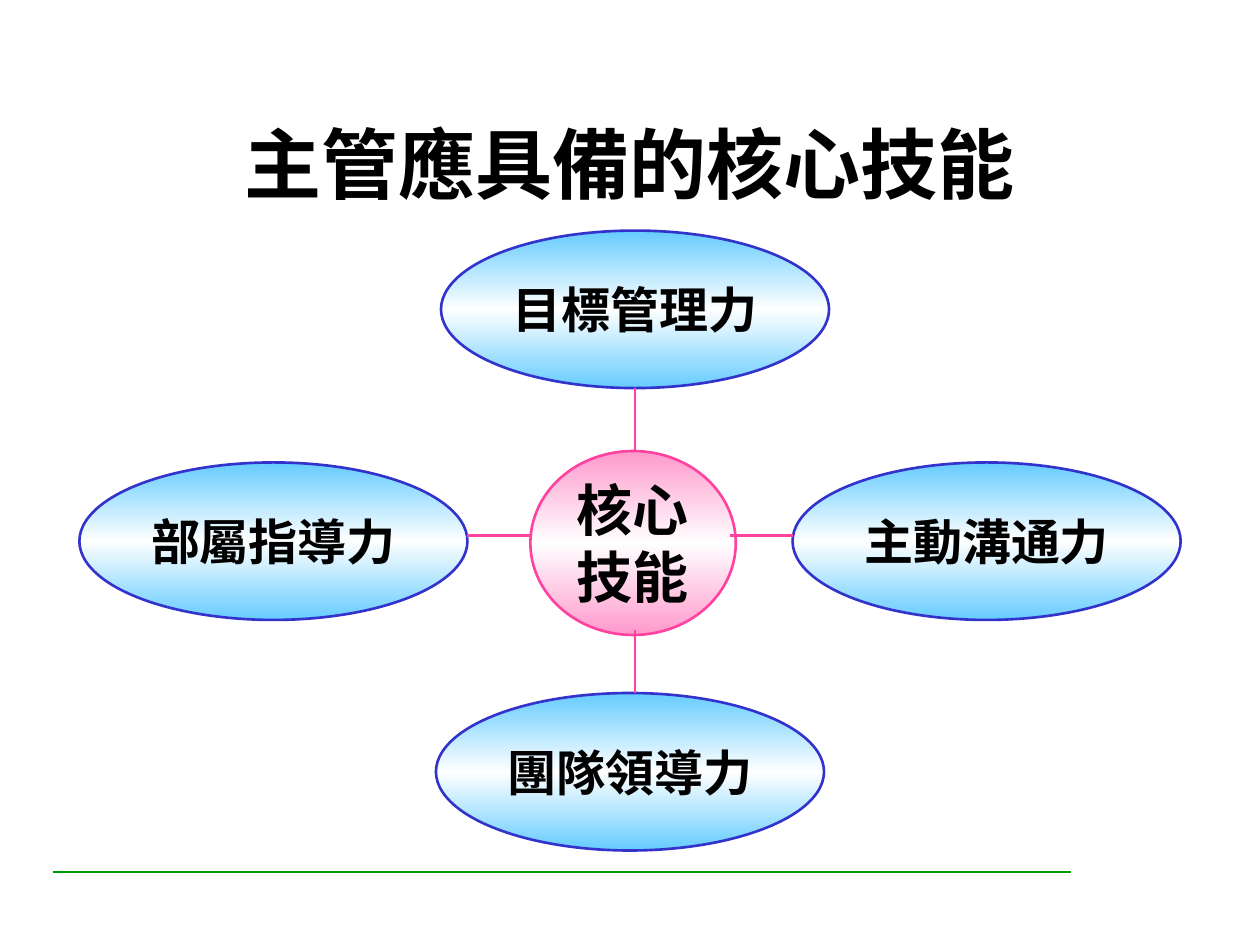
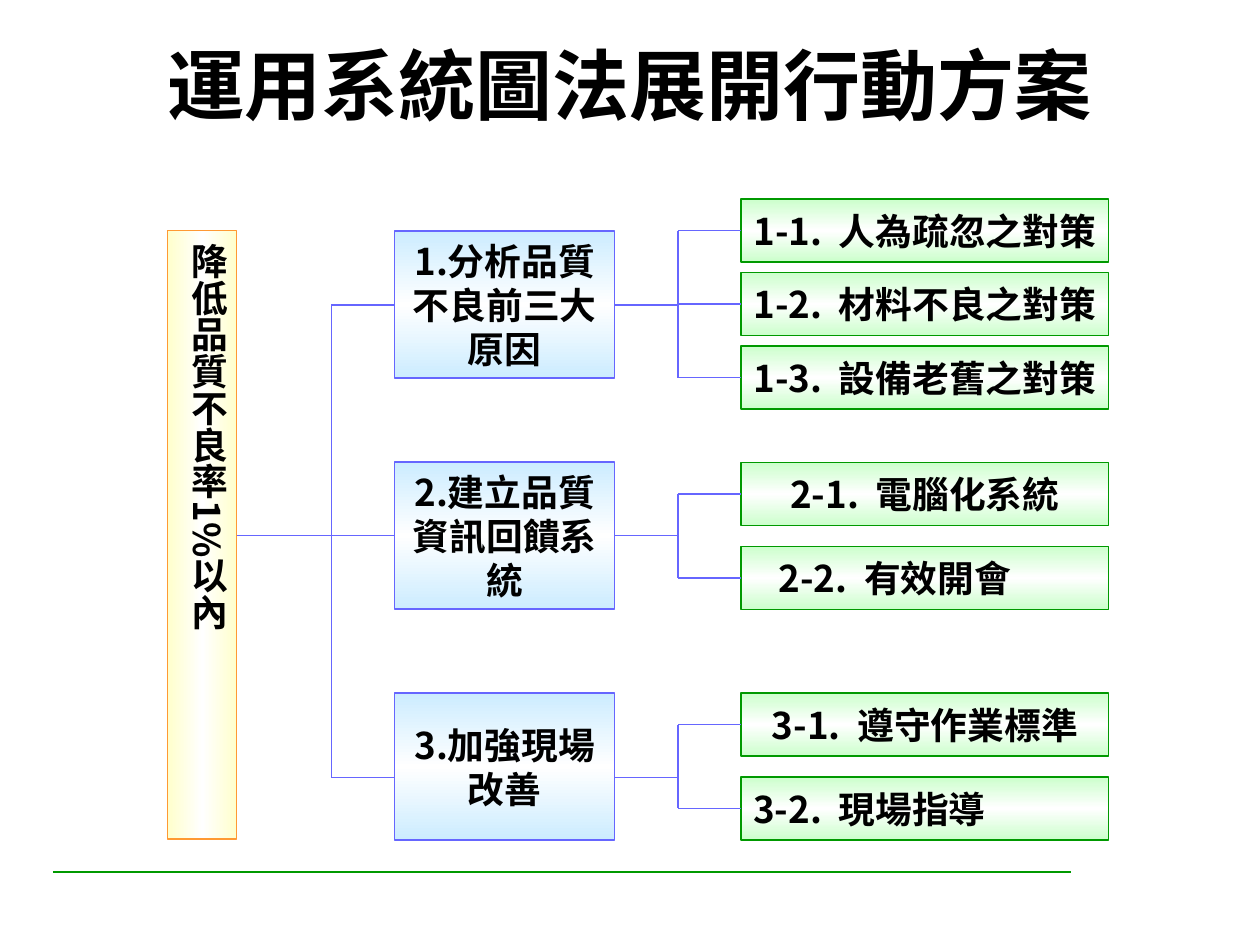
from copy import deepcopy

from lxml.etree import SubElement
from pptx import Presentation
from pptx.dml.color import RGBColor
from pptx.enum.shapes import MSO_CONNECTOR, MSO_SHAPE
from pptx.enum.text import MSO_ANCHOR, PP_ALIGN
from pptx.oxml.ns import qn
from pptx.util import Inches, Pt

# Content
SKILLS = {
    "title": "主管應具備的核心技能",
    "hub": "核心\n技能",
    # text, left, top, direction from the hub
    "petals": [
        ("主動溝通力", 6.29, 3.67, (1, 0)),
        ("部屬指導力", 0.63, 3.67, (-1, 0)),
        ("團隊領導力", 3.46, 5.5, (0, 1)),
        ("目標管理力", 3.5, 1.83, (0, -1)),
    ],
}
PLAN = {
    "title": "運用系統圖法展開行動方案",
    "goal": "降低品質不良率1%以內",
    # text, height of its link, top and pitch of its actions, actions
    "branches": [
        ("1.分析品質不良前三大原因", 2.42, 1.58, 7 / 12,
         [("1-1.", "人為疏忽之對策"), ("1-2.", "材料不良之對策"),
          ("1-3.", "設備老舊之對策")]),
        ("2.建立品質資訊回饋系統", 4.25, 3.67, 2 / 3,
         [("2-1.", "電腦化系統"), ("2-2.", "有效開會")]),
        ("3.加強現場改善", 6.17, 5.5, 2 / 3,
         [("3-1.", "遵守作業標準"), ("3-2.", "現場指導")]),
    ],
}
INDENTS = {"2-2.": 0.3, "3-2.": 0.1}  # left-aligned actions

# Shared style
SANS, SERIF = "Noto Sans CJK SC", "Times New Roman"
HEX = {
    "text": "000000", "mid": "FFFFFF", "rule": "009900",
    "hub": "FF99CC", "link": "FF41A0",
    "petal": "66CCFF", "rim": "3333CC",
    "goal": "FFFFCC", "edge": "FF9933",
    "branch": "CCECFF", "tree": "6666FF", "leaf": "CCFFCC",
}


def color(name):
    return RGBColor.from_string(HEX[name])


def style(frame, size, face=SANS, align=PP_ALIGN.CENTER):
    for para in frame.paragraphs:
        para.alignment = align
        for run in para.runs:
            font = run.font
            font.size, font.bold, font.name = Pt(size), True, face
            font.color.rgb = color("text")
            east = SubElement(run._r.get_or_add_rPr(), qn("a:ea"))
            east.set("typeface", SANS)


def add_line(slide, x1, y1, x2, y2, tint, width):
    line = slide.shapes.add_connector(
        MSO_CONNECTOR.STRAIGHT, *map(Inches, (x1, y1, x2, y2)))
    line.line.color.rgb = color(tint)
    line.line.width = Pt(width)
    SubElement(line._element.spPr, qn("a:effectLst"))
    return line


def add_box(slide, kind, box, tint, rim, width, angle=90):
    """Add a shape whose fill fades to white in the middle."""
    shape = slide.shapes.add_shape(kind, *map(Inches, box))
    shape.shadow.inherit = False
    fill = shape.fill
    fill.gradient()
    fill.gradient_angle = angle
    stops = shape._element.spPr.find(".//" + qn("a:gsLst"))
    stops.insert(1, deepcopy(stops[0]))
    for stop, name, pos in zip(fill.gradient_stops, (tint, "mid", tint),
                               (0, 0.5, 1)):
        stop.color.rgb = color(name)
        stop.position = pos
    shape.line.color.rgb = color(rim)
    shape.line.width = Pt(width)
    shape.text_frame.vertical_anchor = MSO_ANCHOR.MIDDLE
    return shape


def add_slide(deck, text, box):
    slide = deck.slides.add_slide(deck.slide_layouts[5])
    title = slide.shapes.title
    title.left, title.top, title.width, title.height = map(Inches, box)
    frame = title.text_frame
    frame.text = text
    frame.vertical_anchor = MSO_ANCHOR.MIDDLE
    style(frame, 44)
    return slide


def draw_skills(deck):
    slide = add_slide(deck, SKILLS["title"], (0.81, 0.73, 8.38, 1.13))

    # Hub
    ovals = [(SKILLS["hub"], (4.21, 3.58, 1.63, 1.46), "hub", "link", 32)]
    # Petals around it
    ovals += [(text, (left, top, 3.08, 1.25), "petal", "rim", 28)
              for text, left, top, _ in SKILLS["petals"]]
    for text, box, tint, rim, size in ovals:
        frame = add_box(slide, MSO_SHAPE.OVAL, box, tint, rim, 1.5).text_frame
        frame.text = text
        frame.word_wrap = False
        style(frame, size, SERIF)

    # Half-inch links
    for _, _, _, (dx, dy) in SKILLS["petals"]:
        x = 5 + dx * 0.79 if dx else 5.04
        y = 4.29 + dy * 0.71 if dy else 4.25
        add_line(slide, x, y, x + dx / 2, y + dy / 2, "link", 1.5)
    return slide


def add_leaf(slide, top, num, name):
    shape = add_box(slide, MSO_SHAPE.RECTANGLE, (5.88, top, 2.92, 0.5),
                    "leaf", "rule", 0.75)
    frame = shape.text_frame
    frame.word_wrap = False
    para = frame.paragraphs[0]
    for part in (num, " ", name):
        para.add_run().text = part
    # Widen the gap after the number
    para.runs[1]._r.get_or_add_rPr().set("spc", "470")
    frame.margin_left = Inches(INDENTS.get(num, 0.1))
    style(frame, 21,
          align=PP_ALIGN.LEFT if num in INDENTS else PP_ALIGN.CENTER)


def draw_plan(deck):
    slide = add_slide(deck, PLAN["title"], (0.79, 0.29, 8.42, 0.75))
    stem, fork = 2.63, 5.38

    # Goal, set vertically
    goal = add_box(slide, MSO_SHAPE.RECTANGLE, (1.33, 1.83, 0.55, 4.83),
                   "goal", "edge", 0.75, 180)
    frame = goal.text_frame
    frame.text = PLAN["goal"]
    frame.vertical_anchor = MSO_ANCHOR.TOP
    frame.margin_left = frame.margin_right = Inches(0.05)
    frame.margin_top = frame.margin_bottom = Inches(0.1)
    frame._txBody.bodyPr.set("vert", "eaVert")
    style(frame, 21)

    # Stem
    links = [(1.88, 4.25, stem, 4.25), (stem, 2.42, stem, 6.17)]

    # Branches and their actions
    for i, (text, mid, first, pitch, leaves) in enumerate(PLAN["branches"]):
        box = (3.13, 11 / 6 * (i + 1), 1.75, 7 / 6)
        frame = add_box(slide, MSO_SHAPE.RECTANGLE, box,
                        "branch", "tree", 0.75).text_frame
        frame.text = text
        frame.word_wrap = True
        style(frame, 21)
        tops = [first + pitch * j for j in range(len(leaves))]
        links += [(stem, mid, 3.13, mid), (4.88, mid, fork, mid),
                  (fork, tops[0] + 0.25, fork, tops[-1] + 0.25)]
        for top, leaf in zip(tops, leaves):
            add_leaf(slide, top, *leaf)
            links.append((fork, top + 0.25, 5.88, top + 0.25))

    for link in links:
        add_line(slide, *link, "tree", 0.75)


def main():
    deck = Presentation()
    deck.slide_width, deck.slide_height = Inches(10), Inches(7.5)
    slide = draw_skills(deck)
    draw_plan(deck)

    # Footer rule, moved to the layout that both slides use
    rule = add_line(slide, 0.42, 6.92, 8.5, 6.92, "rule", 1.5)
    slide.slide_layout.shapes._spTree.append(rule._element)
    deck.save("out.pptx")


if __name__ == "__main__":
    main()
